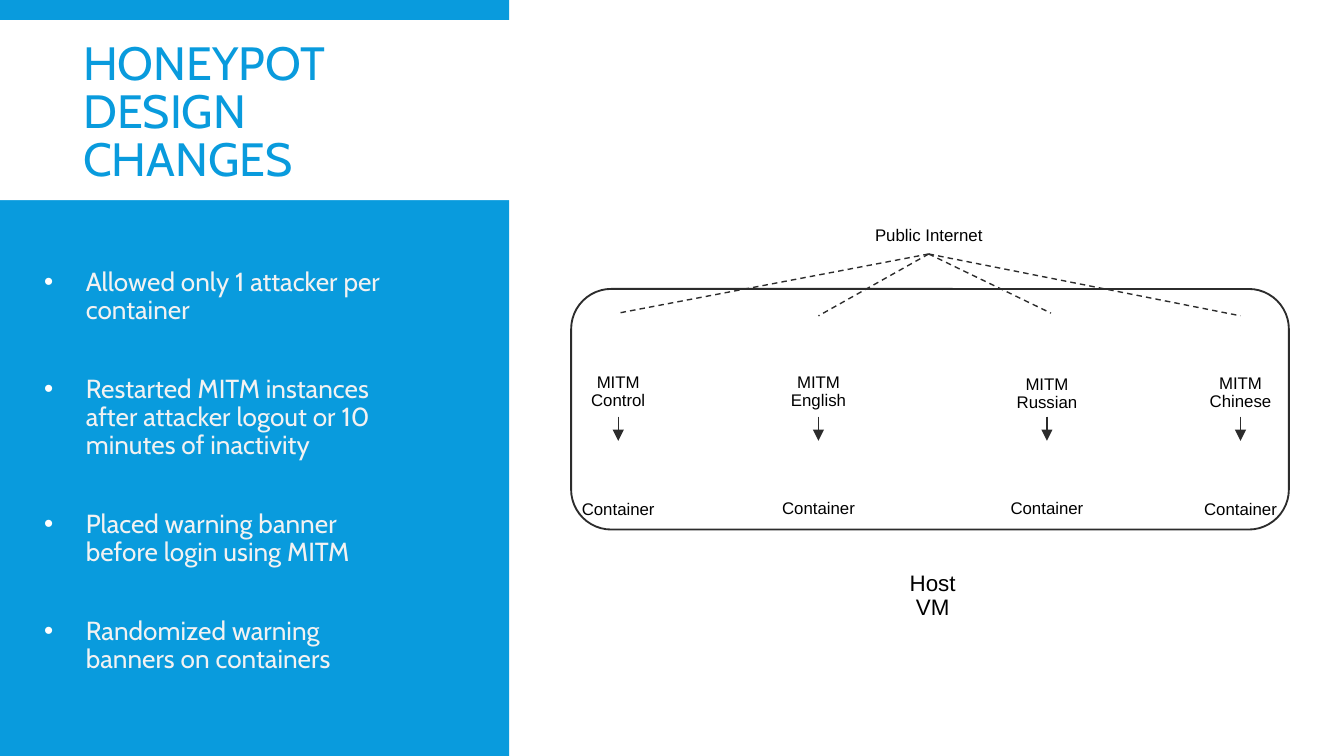
"""Build the honeypot design changes slide."""
from dataclasses import dataclass

from lxml import etree
from pptx import Presentation, util as u
from pptx.dml.color import RGBColor
from pptx.enum import dml, shapes, text
from pptx.oxml import ns

WIDTH = 10
HEIGHT = WIDTH * 9 / 16


@dataclass(frozen=True)
class Theme:
    blue: str = "099BDD"
    white: str = "FFFFFF"
    pale: str = "F2F2F2"
    dark: str = "2C2C2C"
    black: str = "000000"
    heading_font: str = "Cabin"
    diagram_font: str = "Arial"
    title_size: float = 25
    bullet_size: float = 14
    host_size: float = 12
    label_size: float = 9


def apply(target, values):
    for name, value in values.items():
        setattr(target, name, value)


def add_xml(parent, tag, **attributes):
    return etree.SubElement(parent, ns.qn(tag), attributes)


class SlideBuilder:
    def __init__(self, slide, theme):
        self.slide = slide
        self.theme = theme

    def box(self, left, top, width, height, fill, line=None, kind=shapes.MSO_SHAPE.RECTANGLE):
        shape = self.slide.shapes.add_shape(kind, *map(u.Inches, (left, top, width, height)))
        shape.shadow.inherit = False
        shape.fill.solid()
        shape.fill.fore_color.rgb = RGBColor.from_string(fill)
        if line:
            shape.line.color.rgb = RGBColor.from_string(line)
            shape.line.width = u.Pt(1)
        else:
            shape.line.fill.background()

    def text(self, left, top, width, height, lines, font, size, color,
             paragraph_format, anchor=text.MSO_ANCHOR.TOP, bullet=None):
        shape = self.slide.shapes.add_textbox(*map(u.Inches, (left, top, width, height)))
        frame = shape.text_frame
        apply(frame, {"word_wrap": True, "vertical_anchor": anchor})
        for index, line in enumerate(lines):
            paragraph = frame.add_paragraph() if index else frame.paragraphs[0]
            apply(paragraph, paragraph_format)
            if bullet:
                self.bullet(paragraph, bullet)
            run = paragraph.add_run()
            run.text = line
            apply(run.font, {"name": font, "size": u.Pt(size)})
            run.font.color.rgb = RGBColor.from_string(color)

    def bullet(self, paragraph, character):
        properties = paragraph._p.get_or_add_pPr()
        properties.set("marL", str(u.Inches(0.42)))
        properties.set("indent", str(u.Inches(-0.31)))
        add_xml(add_xml(properties, "a:buClr"), "a:srgbClr", val=self.theme.white)
        add_xml(properties, "a:buFont", typeface=self.theme.diagram_font)
        add_xml(properties, "a:buChar", char=character)

    def label(self, center, top, width, height, words, size=None):
        theme = self.theme
        self.text(center - width / 2, top, width, height, [words], theme.diagram_font,
                  size or theme.label_size, theme.black,
                  {"alignment": text.PP_ALIGN.CENTER, "line_spacing": 0.9})

    def line(self, start, end, dashed=False, arrow=False):
        connector = self.slide.shapes.add_connector(
            shapes.MSO_CONNECTOR.STRAIGHT, *map(u.Inches, (*start, *end)))
        connector.line.color.rgb = RGBColor.from_string(self.theme.dark)
        connector.line.width = u.Pt(0.75)
        if dashed:
            connector.line.dash_style = dml.MSO_LINE.DASH
        if arrow:
            add_xml(connector.line._get_or_add_ln(), "a:tailEnd", type="triangle")
        add_xml(connector._element.spPr, "a:effectLst")


def main():
    presentation = Presentation()
    apply(presentation, {"slide_width": u.Inches(WIDTH), "slide_height": u.Inches(HEIGHT)})
    theme = Theme()
    builder = SlideBuilder(presentation.slides.add_slide(presentation.slide_layouts[6]), theme)

    builder.box(0, 0, 3.79, HEIGHT, theme.blue)
    builder.box(0, 0.15, 3.84, 1.34, theme.white)
    builder.text(0.52, 0.23, 3.01, 1.24, ["HONEYPOT DESIGN CHANGES"], theme.heading_font,
                 theme.title_size, theme.blue, {"line_spacing": 0.85},
                 anchor=text.MSO_ANCHOR.MIDDLE)
    changes = [
        "Allowed only 1 attacker per container",
        "Restarted MITM instances after attacker logout or 10 minutes of inactivity",
        "Placed warning banner before login using MITM",
        "Randomized warning banners on containers",
    ]
    builder.text(0.12, 1.95, 3.02, 3.45, changes, theme.heading_font, theme.bullet_size,
                 theme.pale, {"line_spacing": 0.9, "space_after": u.Pt(27)}, bullet="•")

    builder.box(3.79, 0, WIDTH - 3.79, HEIGHT, theme.white)
    builder.box(4.25, 2.15, 5.34, 1.79, theme.white, theme.dark,
                shapes.MSO_SHAPE.ROUNDED_RECTANGLE)
    builder.label(6.94, 4.21, 0.8, 0.19, "Host VM", theme.host_size)
    builder.label(6.91, 1.64, 1.01, 0.25, "Public Internet")
    instances = [
        ("Control", 4.6, 2.73, 3.68, (4.6, 2.33)),
        ("English", 6.09, 2.73, 3.67, (6.09, 2.35)),
        ("Russian", 7.79, 2.75, 3.67, (7.82, 2.33)),
        ("Chinese", 9.23, 2.74, 3.68, (9.23, 2.35)),
    ]
    for language, center, mitm_top, container_top, link_end in instances:
        builder.label(center, mitm_top, 0.7, 0.28, f"MITM {language}")
        builder.label(center, container_top, 0.91, 0.26, "Container")
        builder.line((center, 3.1), (center, 3.28), arrow=True)
        builder.line((6.91, 1.89), link_end, dashed=True)

    presentation.save("out.pptx")


if __name__ == "__main__":
    main()
